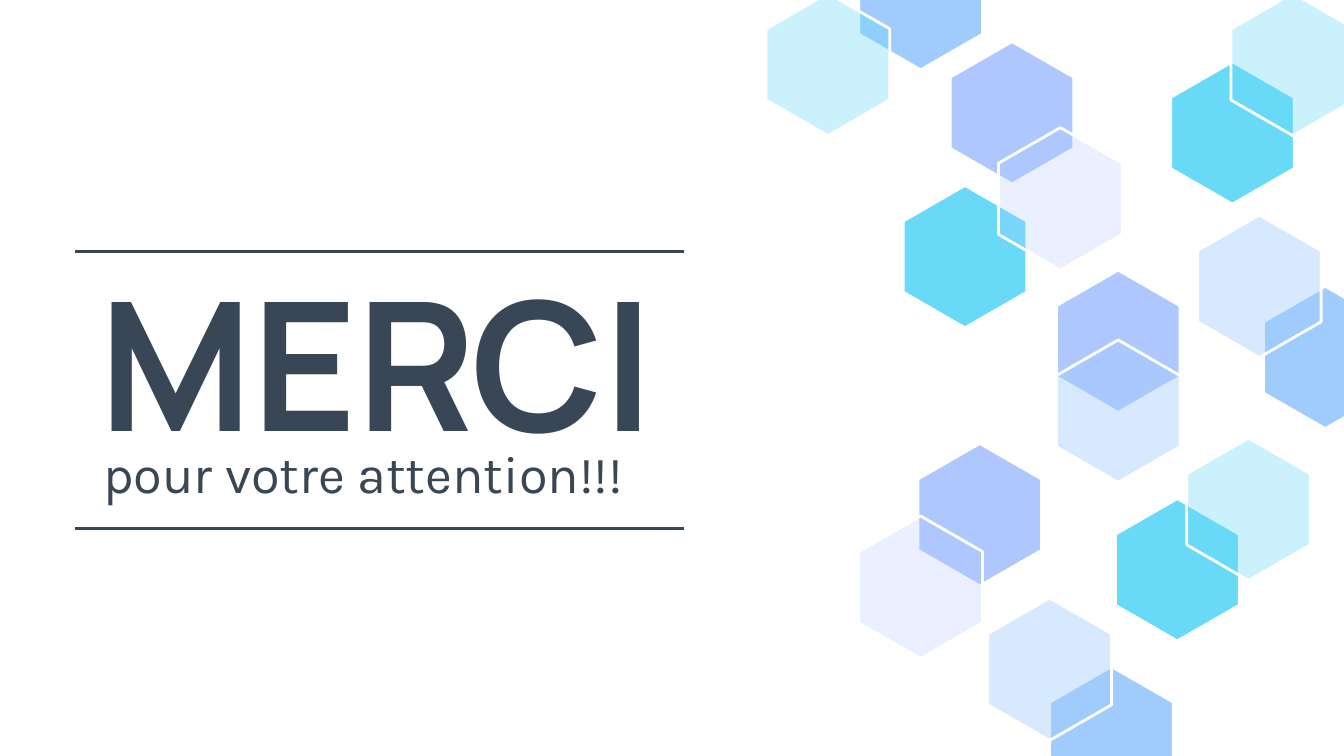
from typing import NamedTuple

from lxml.etree import SubElement
from pptx import Presentation
from pptx.dml.color import RGBColor
from pptx.enum.shapes import MSO_CONNECTOR
from pptx.enum.text import MSO_ANCHOR, MSO_AUTO_SIZE, PP_ALIGN
from pptx.oxml.ns import qn
from pptx.slide import Slide
from pptx.text.text import TextFrame
from pptx.util import Inches, Pt

WHITE = RGBColor(0xFF, 0xFF, 0xFF)
SLATE = RGBColor(0x38, 0x46, 0x55)
PERIWINKLE = RGBColor(0xAF, 0xC7, 0xFF)
SKY = RGBColor(0x9F, 0xCB, 0xFD)
CYAN = RGBColor(0x68, 0xDA, 0xF8)

HEXAGON_WIDTH = 0.92
HEXAGON_HEIGHT = 1.06
# Corners as fractions of the width and height, clockwise from the top
HEXAGON_CORNERS = [(0.5, 0), (1, 0.25), (1, 0.75), (0.5, 1), (0, 0.75), (0, 0.25)]


class Hexagon(NamedTuple):
    left: float
    top: float
    color: RGBColor
    opacity: int = 100


class Text(NamedTuple):
    wording: str
    font: str
    size: int
    bold: bool
    anchor: MSO_ANCHOR
    line_spacing: float


HEXAGONS = [
    Hexagon(7.86, 2.01, PERIWINKLE),
    Hexagon(7.81, 4.96, SKY),
    Hexagon(7.35, 4.45, SKY, 41),
    Hexagon(6.83, 3.30, PERIWINKLE),
    Hexagon(6.39, 3.84, PERIWINKLE, 25),
    Hexagon(8.30, 3.71, CYAN),
    Hexagon(7.86, 2.53, SKY, 41),
    Hexagon(8.83, 3.26, CYAN, 34),
    Hexagon(6.72, 1.38, CYAN),
    Hexagon(7.07, 0.31, PERIWINKLE),
    Hexagon(6.39, -0.54, SKY),
    Hexagon(7.43, 0.95, PERIWINKLE, 25),
    Hexagon(5.70, -0.05, CYAN, 34),
    Hexagon(9.40, 2.13, SKY),
    Hexagon(8.91, 1.60, SKY, 41),
    Hexagon(8.71, 0.46, CYAN),
    Hexagon(9.16, -0.05, CYAN, 34),
]
RULE_HEIGHTS = [1.87, 3.93]

TITLE = Text("MERCI", "Manrope", 96, True, MSO_ANCHOR.TOP, 1.0)
SUBTITLE = Text("pour votre attention!!!", "Karla", 28, False, MSO_ANCHOR.MIDDLE, 1.15)


def write_text(frame: TextFrame, text: Text) -> None:
    frame.word_wrap = True
    frame.auto_size = MSO_AUTO_SIZE.NONE
    frame.vertical_anchor = text.anchor
    frame.margin_left = frame.margin_right = Inches(0.1)
    frame.margin_top = frame.margin_bottom = Inches(0.1)
    paragraph = frame.paragraphs[0]
    paragraph.alignment = PP_ALIGN.LEFT
    paragraph.line_spacing = text.line_spacing
    run = paragraph.add_run()
    run.text = text.wording
    run.font.name = text.font
    run.font.size = Pt(text.size)
    run.font.bold = text.bold
    run.font.color.rgb = SLATE


def draw_hexagon(slide: Slide, hexagon: Hexagon) -> None:
    corners = [
        (Inches(hexagon.left + x * HEXAGON_WIDTH), Inches(hexagon.top + y * HEXAGON_HEIGHT))
        for x, y in HEXAGON_CORNERS
    ]
    builder = slide.shapes.build_freeform(*corners[0])
    builder.add_line_segments(corners[1:], close=True)
    shape = builder.convert_to_shape()
    shape.shadow.inherit = False
    shape.fill.solid()
    shape.fill.fore_color.rgb = hexagon.color
    shape.line.color.rgb = WHITE
    shape.line.width = Pt(1.5)
    if hexagon.opacity < 100:
        color = shape._element.spPr.find(qn("a:solidFill")).find(qn("a:srgbClr"))
        SubElement(color, qn("a:alpha")).set("val", str(hexagon.opacity * 1000))


def draw_rule(slide: Slide, top: float) -> None:
    rule = slide.shapes.add_connector(
        MSO_CONNECTOR.STRAIGHT, Inches(0.56), Inches(top), Inches(5.09), Inches(top)
    )
    rule.line.color.rgb = SLATE
    rule.line.width = Pt(1.5)
    SubElement(rule._element.spPr, qn("a:effectLst"))


def main() -> None:
    presentation = Presentation()
    presentation.slide_width = Inches(10)
    presentation.slide_height = presentation.slide_width * 9 // 16
    slide = presentation.slides.add_slide(presentation.slide_layouts.get_by_name("Title Only"))
    slide.background.fill.solid()
    slide.background.fill.fore_color.rgb = WHITE

    title = slide.shapes.title
    title.left, title.top = Inches(0.64), Inches(1.78)
    title.width, title.height = Inches(4.36), Inches(1.46)
    write_text(title.text_frame, TITLE)

    subtitle = slide.shapes.add_textbox(Inches(0.67), Inches(3.33), Inches(4.33), Inches(0.31))
    write_text(subtitle.text_frame, SUBTITLE)

    for hexagon in HEXAGONS:
        draw_hexagon(slide, hexagon)
    for top in RULE_HEIGHTS:
        draw_rule(slide, top)

    presentation.save("out.pptx")


if __name__ == "__main__":
    main()
